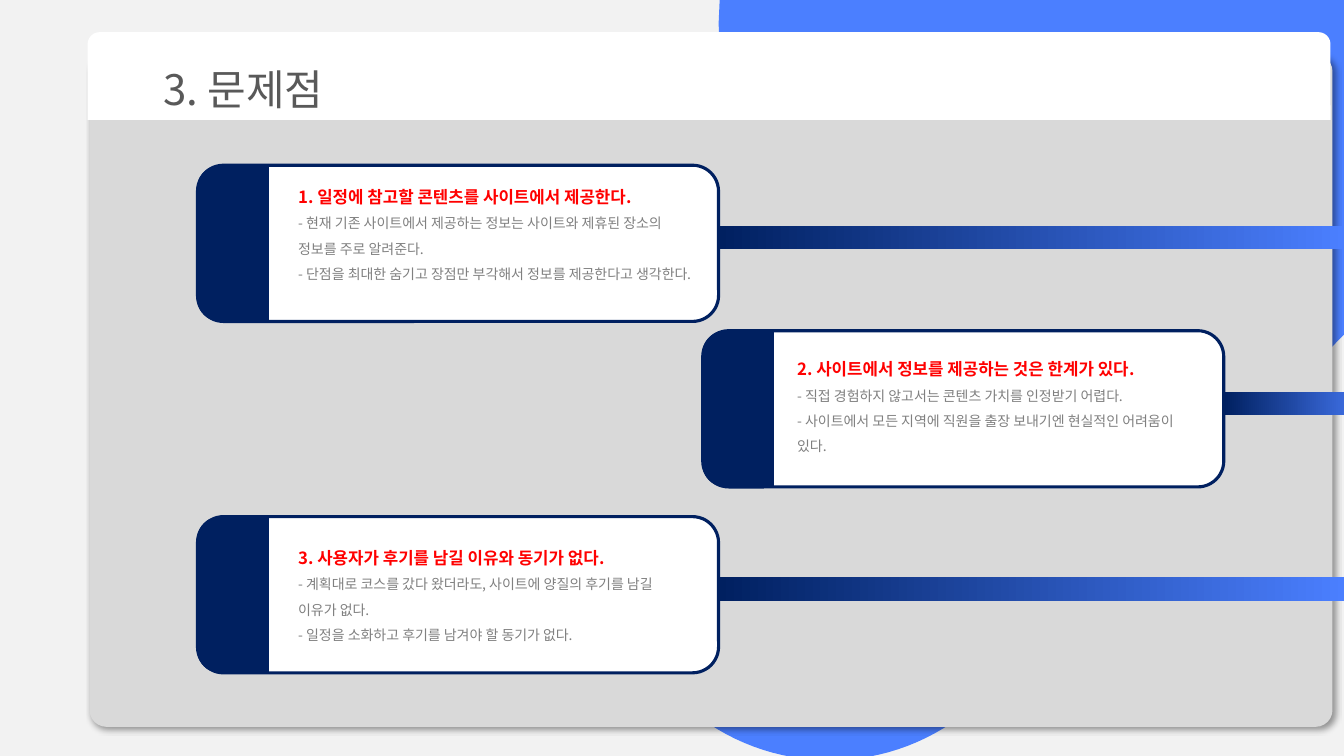
"""Build the slide listing three problems of the existing sites."""
import lxml.etree
import pptx
import pptx.dml.color
import pptx.enum.shapes
import pptx.enum.text
import pptx.oxml.ns
import pptx.util

Pt = pptx.util.Pt
SHAPE = pptx.enum.shapes.MSO_SHAPE
qn = pptx.oxml.ns.qn
FONT = "Noto Sans CJK KR"
COLORS = {
    "background": "F2F2F2", "blue": "4B7FFF", "navy": "002060",
    "panel": "D9D9D9", "white": "FFFFFF", "shadow": "000000",
    "title": "595959", "heading": "FF0000", "detail": "808080",
}
CARD_WIDTH, CARD_HEIGHT = 372.2, 111.6
TAB_WIDTH, TAB_HEIGHT = 50.4, 110.9
BAR_OFFSET, BAR_HEIGHT = 43.5, 16.6
PROBLEMS = [
    {"card": (502, 236.2), "text": (562.3, 245.5, 301.7, 83.5), "bar": 112.3, "lines": [
        "2. 사이트에서 정보를 제공하는 것은 한계가 있다.",
        "- 직접 경험하지 않고서는 콘텐츠 가치를 인정받기 어렵다.",
        "- 사이트에서 모든 지역에 직원을 출장 보내기엔 현실적인 어려움이 있다."]},
    {"card": (141.1, 118), "text": (205.9, 122.4, 292.3, 101.5), "bar": 447.8, "lines": [
        "1. 일정에 참고할 콘텐츠를 사이트에서 제공한다.",
        "- 현재 기존 사이트에서 제공하는 정보는 사이트와 제휴된 장소의 정보를 주로 알려준다.",
        "- 단점을 최대한 숨기고 장점만 부각해서 정보를 제공한다고 생각한다."]},
    {"card": (141.1, 369), "text": (205.9, 380.2, 292.3, 83.5), "bar": 447.8, "lines": [
        "3. 사용자가 후기를 남길 이유와 동기가 없다.",
        "- 계획대로 코스를 갔다 왔더라도, 사이트에 양질의 후기를 남길 이유가 없다.",
        "- 일정을 소화하고 후기를 남겨야 할 동기가 없다."]},
]


def rgb(name):
    return pptx.dml.color.RGBColor.from_string(COLORS[name])


def paint(shape, fill, line=None, line_width=1):
    shape.shadow.inherit = False
    shape.fill.solid()
    shape.fill.fore_color.rgb = rgb(fill)
    if line:
        shape.line.color.rgb = rgb(line)
        shape.line.width = Pt(line_width)
    else:
        shape.line.fill.background()


def add_block(slide, kind, box, fill, line=None, line_width=1, adjustments=()):
    block = slide.shapes.add_shape(kind, *map(Pt, box))
    for index, value in enumerate(adjustments):
        block.adjustments[index] = value
    paint(block, fill, line, line_width)
    return block


def add_shadow(shape):
    effects = shape._element.spPr.find(qn("a:effectLst"))
    shadow = lxml.etree.SubElement(
        effects, qn("a:outerShdw"), blurRad=str(Pt(4)), dist=str(Pt(3)),
        dir=str(45 * 60000), algn="tl", rotWithShape="0")
    color = lxml.etree.SubElement(shadow, qn("a:srgbClr"), val=COLORS["shadow"])
    lxml.etree.SubElement(color, qn("a:alpha"), val="40000")


def format_paragraph(paragraph, size, color, bold=False):
    paragraph.line_spacing = 1.5
    paragraph.alignment = pptx.enum.text.PP_ALIGN.LEFT
    font = paragraph.font
    font.size, font.bold, font.name = Pt(size), bold, FONT
    font.color.rgb = rgb(color)
    defaults = paragraph._p.get_or_add_pPr().find(qn("a:defRPr"))
    lxml.etree.SubElement(defaults, qn("a:ea"), typeface=FONT)


def curve(start, first, second, end, steps=32):
    points = []
    for step in range(1, steps + 1):
        t = step / steps
        weights = ((1 - t) ** 3, 3 * t * (1 - t) ** 2, 3 * t * t * (1 - t), t ** 3)
        points.append(tuple(
            sum(w * c for w, c in zip(weights, axis))
            for axis in zip(start, first, second, end)))
    return points


def add_backdrop(slide):
    outline = [(960, 0), (960, 239), (939.6, 260), (926.6, 271.4), (923, 275.8), (912.2, 288), (702.7, 497.5)]
    outline += curve(outline[-1], (645.8, 554.4), (555.8, 558), (494.6, 508.3))
    outline += [(482.4, 497.5), (471.6, 486)]
    outline += curve(outline[-1], (421.9, 424.8), (425.5, 334.1), (482.4, 277.2))
    outline += [(591.1, 169.2), (566.6, 144.7)]
    outline += curve(outline[-1], (531.4, 108.7), (513.4, 61.9), (513.4, 15.8))
    outline.append((514.1, 0))
    corners = [(Pt(x), Pt(y)) for x, y in outline]
    builder = slide.shapes.build_freeform(*corners[0])
    builder.add_line_segments(corners[1:], close=True)
    paint(builder.convert_to_shape(), "blue")


def add_title(slide, text):
    box = (62.6, 23, 887.8, 62.6)
    add_block(slide, SHAPE.ROUND_2_SAME_RECTANGLE, box, "white", adjustments=(0.137, 0))
    title = slide.shapes.title
    slide.shapes._spTree.append(title._element)
    title.left, title.top, title.width, title.height = map(Pt, box)
    frame = title.text_frame
    frame.text = text
    frame.margin_left = Pt(54)
    frame.auto_size = pptx.enum.text.MSO_AUTO_SIZE.NONE
    frame.vertical_anchor = pptx.enum.text.MSO_ANCHOR.MIDDLE
    format_paragraph(frame.paragraphs[0], 30, "title")


def add_card(slide, left, top):
    add_block(slide, SHAPE.ROUNDED_RECTANGLE, (left, top, CARD_WIDTH, CARD_HEIGHT),
              "white", "navy", 2.25)
    tab_left = left + (TAB_WIDTH - TAB_HEIGHT) / 2
    tab_top = top + (CARD_HEIGHT - TAB_WIDTH) / 2
    tab = add_block(slide, SHAPE.ROUND_2_SAME_RECTANGLE,
                    (tab_left, tab_top, TAB_HEIGHT, TAB_WIDTH),
                    "navy", "navy", 1, (0.328, 0))
    tab.rotation = 270


def add_explanation(slide, box, lines):
    frame = slide.shapes.add_textbox(*map(Pt, box)).text_frame
    frame.word_wrap = True
    frame.auto_size = pptx.enum.text.MSO_AUTO_SIZE.SHAPE_TO_FIT_TEXT
    frame.text = "\n".join(lines)
    heading, *details = frame.paragraphs
    format_paragraph(heading, 12, "heading", bold=True)
    for detail in details:
        format_paragraph(detail, 10, "detail")


def add_bar(slide, left, top, width):
    bar = add_block(slide, SHAPE.RECTANGLE, (left, top, width, BAR_HEIGHT), "navy")
    bar.fill.gradient()
    bar.fill.gradient_angle = 0
    for stop, position, color in zip(bar.fill.gradient_stops, (0, 1), ("navy", "blue")):
        stop.position = position
        stop.color.rgb = rgb(color)


def main():
    deck = pptx.Presentation()
    deck.slide_width, deck.slide_height = Pt(960), Pt(540)
    slide = deck.slides.add_slide(deck.slide_layouts[5])
    slide.background.fill.solid()
    slide.background.fill.fore_color.rgb = rgb("background")
    add_backdrop(slide)
    panel = add_block(slide, SHAPE.ROUNDED_RECTANGLE, (64, 39, 887.8, 480.2),
                      "panel", adjustments=(0.025,))
    add_shadow(panel)
    add_title(slide, "3. 문제점")
    for problem in PROBLEMS:
        left, top = problem["card"]
        add_card(slide, left, top)
        add_explanation(slide, problem["text"], problem["lines"])
        add_bar(slide, left + CARD_WIDTH, top + BAR_OFFSET, problem["bar"])
    deck.save("out.pptx")


if __name__ == "__main__":
    main()
